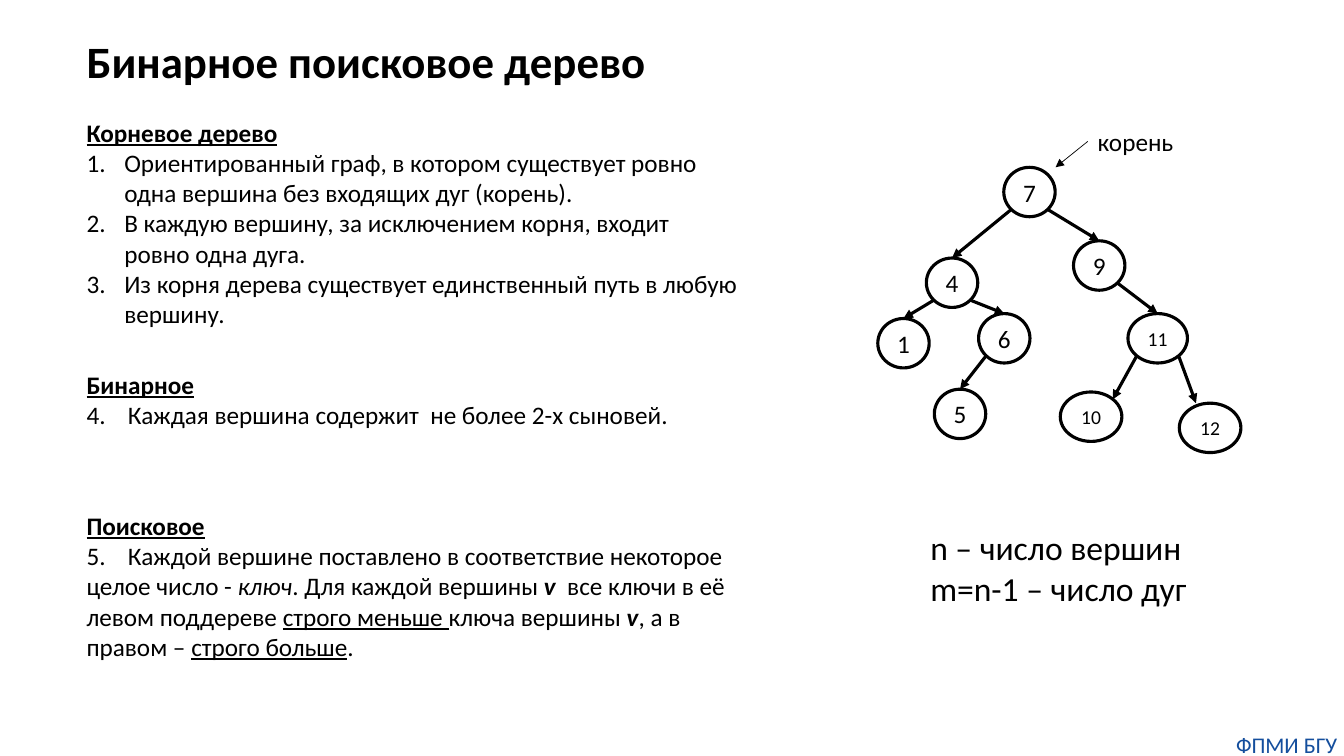
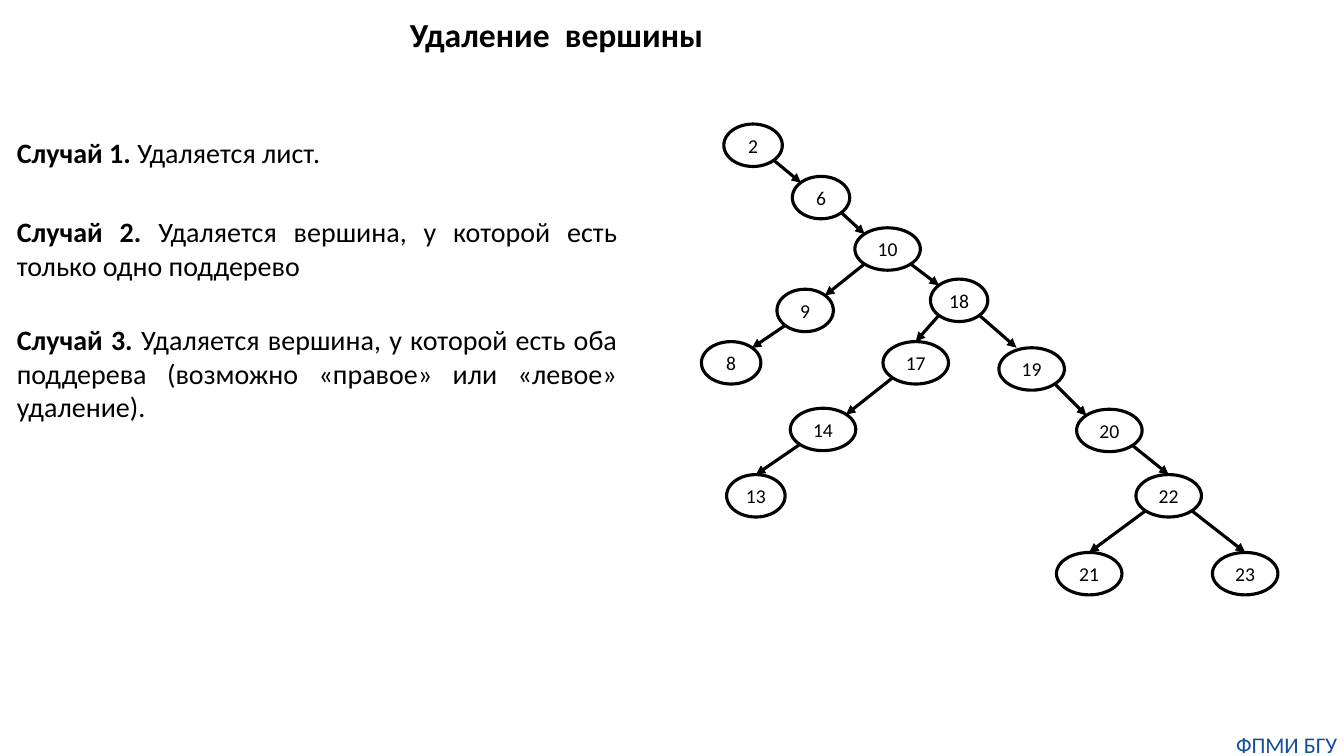
"""Build two lecture slides on binary search trees."""
from dataclasses import dataclass

from lxml import etree
from pptx import Presentation
from pptx import util as u
from pptx.dml.color import RGBColor
from pptx.enum import shapes, text
from pptx.oxml import ns

LEFT, CENTER, JUSTIFY = text.PP_ALIGN.LEFT, text.PP_ALIGN.CENTER, text.PP_ALIGN.JUSTIFY
TOP, CORNER, SHOULDER = (0.5, 0), (0.15, 0.15), (0.27, 0)


@dataclass(frozen=True)
class Theme:
    """Colours, type sizes and line widths."""
    font: str = "Calibri"
    ink: RGBColor = RGBColor(0, 0, 0)
    footer_ink: RGBColor = RGBColor(0x14, 0x4E, 0x9D)
    heading: float = 32
    subheading: float = 24
    case: float = 20
    body: float = 18
    footer: float = 16
    small_key: float = 14
    stroke: float = 2.25
    hairline: float = 0.5


class Deck:
    """Holds the theme and the current slide, and draws each kind of element."""

    def __init__(self, theme):
        """Start an empty widescreen presentation."""
        self.theme = theme
        self.prs = Presentation()
        self.prs.slide_width, self.prs.slide_height = u.Pt(960), u.Pt(540)
        self.slide = None

    def start(self, title, box, size, align):
        """Add a slide with its title and the shared footer."""
        self.slide = self.prs.slides.add_slide(self.prs.slide_layouts[5])
        heading = self.slide.shapes.title
        heading.left, heading.top, heading.width, heading.height = map(u.Pt, box)
        frame = heading.text_frame
        frame.auto_size = text.MSO_AUTO_SIZE.NONE
        frame.vertical_anchor = text.MSO_ANCHOR.BOTTOM
        self.fill(frame.paragraphs[0], [(title, "b")], size, align)
        frame.paragraphs[0].line_spacing = 0.9
        self.text((878.4, 522, 81.4, 19.4), [[("ФПМИ БГУ", "")]], self.theme.footer,
                  CENTER, self.theme.footer_ink, inset=0)

    def fill(self, paragraph, runs, size, align=LEFT, color=None):
        """Write runs given as (words, marks), marks being any of b, i and u."""
        paragraph.alignment = align
        for words, marks in runs:
            run = paragraph.add_run()
            run.text = words
            font = run.font
            font.name, font.size = self.theme.font, u.Pt(size)
            font.color.rgb = color or self.theme.ink
            font.bold, font.italic, font.underline = (mark in marks for mark in "biu")

    def text(self, box, paragraphs, size, align=LEFT, color=None, inset=None):
        """Add a wrapping text box and return its paragraphs."""
        frame = self.slide.shapes.add_textbox(*map(u.Pt, box)).text_frame
        frame.word_wrap = True
        if inset is not None:
            frame.margin_left = frame.margin_right = u.Pt(inset)
            frame.margin_top = frame.margin_bottom = u.Pt(inset)
        for index, runs in enumerate(paragraphs):
            paragraph = frame.add_paragraph() if index else frame.paragraphs[0]
            self.fill(paragraph, runs, size, align, color)
        return frame.paragraphs

    def number(self, paragraph, indent=27):
        """Number a paragraph automatically with a hanging indent."""
        props = paragraph._p.get_or_add_pPr()
        props.set("marL", str(u.Pt(indent)))
        props.set("indent", str(-u.Pt(indent)))
        etree.SubElement(props, ns.qn("a:buAutoNum"), type="arabicPeriod")

    def tab(self, paragraph, position=29.5):
        """Set one left tab stop."""
        stops = etree.SubElement(paragraph._p.get_or_add_pPr(), ns.qn("a:tabLst"))
        etree.SubElement(stops, ns.qn("a:tab"), pos=str(u.Pt(position)), algn="l")

    def arrow(self, start, end, width, canvas=None):
        """Draw a straight arrow between two points."""
        canvas = canvas or self.slide.shapes
        link = canvas.add_connector(shapes.MSO_CONNECTOR.STRAIGHT, *map(u.Pt, (*start, *end)))
        link.line.color.rgb, link.line.width = self.theme.ink, u.Pt(width)
        etree.SubElement(link.line._get_or_add_ln(), ns.qn("a:tailEnd"), type="triangle")
        etree.SubElement(link._element.spPr, ns.qn("a:effectLst"))

    def vertex(self, canvas, key, box, size):
        """Draw an outlined ellipse with its key."""
        oval = canvas.add_shape(shapes.MSO_SHAPE.OVAL, *map(u.Pt, box))
        oval.shadow.inherit = False
        oval.fill.background()
        oval.line.color.rgb, oval.line.width = self.theme.ink, u.Pt(self.theme.stroke)
        frame = oval.text_frame
        frame.margin_left = frame.margin_right = 0
        frame.margin_top = frame.margin_bottom = 0
        frame.vertical_anchor = text.MSO_ANCHOR.MIDDLE
        self.fill(frame.paragraphs[0], [(str(key), "")], size, CENTER)

    def tree(self, vertices, height, digit_size):
        """Draw vertices given as (key, left, top, width, parent, arrow end)."""
        canvas = self.slide.shapes.add_group_shape().shapes
        places = {key: (left, top, width) for key, left, top, width, *_ in vertices}
        for key, place in places.items():
            size = digit_size if key < 10 else self.theme.small_key
            self.vertex(canvas, key, (*place, height), size)

        def point(key, across, down):
            left, top, width = places[key]
            return left + across * width, top + down * height

        for key, _, _, _, parent, (across, down) in vertices:
            if parent is None:
                continue
            is_left = key < parent
            start = point(parent, 0.15 if is_left else 0.85, 0.85)
            end = point(key, 1 - across if is_left else across, down)
            self.arrow(start, end, self.theme.stroke, canvas)


theme = Theme()
deck = Deck(theme)

deck.start("Бинарное поисковое дерево", (54.7, 24.5, 429, 41.8), theme.heading, LEFT)
_, *rooted_rules = deck.text((54.7, 80, 480, 160), [
    [("Корневое дерево", "bu")],
    [("Ориентированный граф, в котором существует ровно одна вершина без входящих дуг (корень).", "")],
    [("В каждую вершину, за исключением корня, входит ровно одна дуга.", "")],
    [("Из корня дерева существует единственный путь в любую вершину.", "")],
], theme.body)
for rule in rooted_rules:
    deck.number(rule)
binary_rule = deck.text((54.7, 260, 480, 51), [
    [("Бинарное", "bu")],
    [("4.\tКаждая вершина содержит  не более 2-х сыновей.", "")],
], theme.body)[1]
search_rule = deck.text((54.7, 361, 483, 117), [
    [("Поисковое", "bu")],
    [("5.\tКаждой вершине поставлено в соответствие некоторое целое число - ", ""),
     ("ключ", "i"), (". Для каждой вершины ", ""), ("v ", "bi"),
     (" все ключи в её левом поддереве ", ""), ("строго меньше ", "u"),
     ("ключа вершины ", ""), ("v", "bi"), (", а в правом – ", ""),
     ("строго больше", "u"), (".", "")],
], theme.body)[1]
for rule in (binary_rule, search_rule):
    deck.tab(rule)
deck.tree([
    (7, 717, 119.5, 36.7, None, TOP),
    (4, 661.7, 184.3, 36.7, 7, TOP),
    (9, 766.8, 172, 36.7, 7, TOP),
    (1, 627, 227.5, 36.7, 4, TOP),
    (6, 699, 224, 36.7, 4, TOP),
    (11, 805.7, 224, 42.5, 9, TOP),
    (5, 667.4, 278, 36.7, 6, TOP),
    (10, 757.4, 280, 44, 11, CORNER),
    (12, 842.4, 288, 44, 11, SHOULDER),
], 35.3, theme.body)
deck.text((777, 86.4, 80, 29), [[("корень", "")]], theme.body)
deck.arrow((777, 101), (754, 119.5), theme.hairline)
deck.text((657.4, 373, 220, 65.5), [
    [("n – число вершин", "")],
    [("m=n-1 – число дуг", "")],
], theme.subheading)

deck.start("Удаление  вершины", (223, 6.5, 349, 36), theme.subheading, CENTER)
deck.tree([
    (2, 517, 88.6, 41.8, None, TOP),
    (6, 566, 126, 41, 2, CORNER),
    (10, 610.6, 162.7, 46.8, 6, CORNER),
    (9, 555, 206.6, 40.3, 10, CORNER),
    (18, 664.6, 199.4, 41, 10, CORNER),
    (8, 501, 244, 42.5, 9, CORNER),
    (17, 630.7, 244, 46.8, 18, TOP),
    (14, 564.5, 291.6, 46.8, 17, CORNER),
    (13, 519, 339, 41.8, 14, TOP),
    (19, 713.5, 248.4, 46.8, 18, SHOULDER),
    (20, 769, 292.3, 46.8, 19, CORNER),
    (22, 811.4, 339, 46.8, 20, TOP),
    (21, 754.6, 394.6, 46.8, 22, TOP),
    (23, 866, 394.6, 46.8, 22, TOP),
], 30.3, theme.small_key)
cases = [
    (93, 32, " Удаляется лист."),
    (150, 55.4, " Удаляется вершина, у которой есть только одно поддерево"),
    (227, 80, " Удаляется вершина, у которой есть оба поддерева "
              "(возможно «правое» или «левое» удаление)."),
]
for case, (top, height, wording) in enumerate(cases, 1):
    deck.text((5, top, 443, height), [[(f"Случай {case}.", "b"), (wording, "")]],
              theme.case, JUSTIFY)

deck.prs.save("out.pptx")
